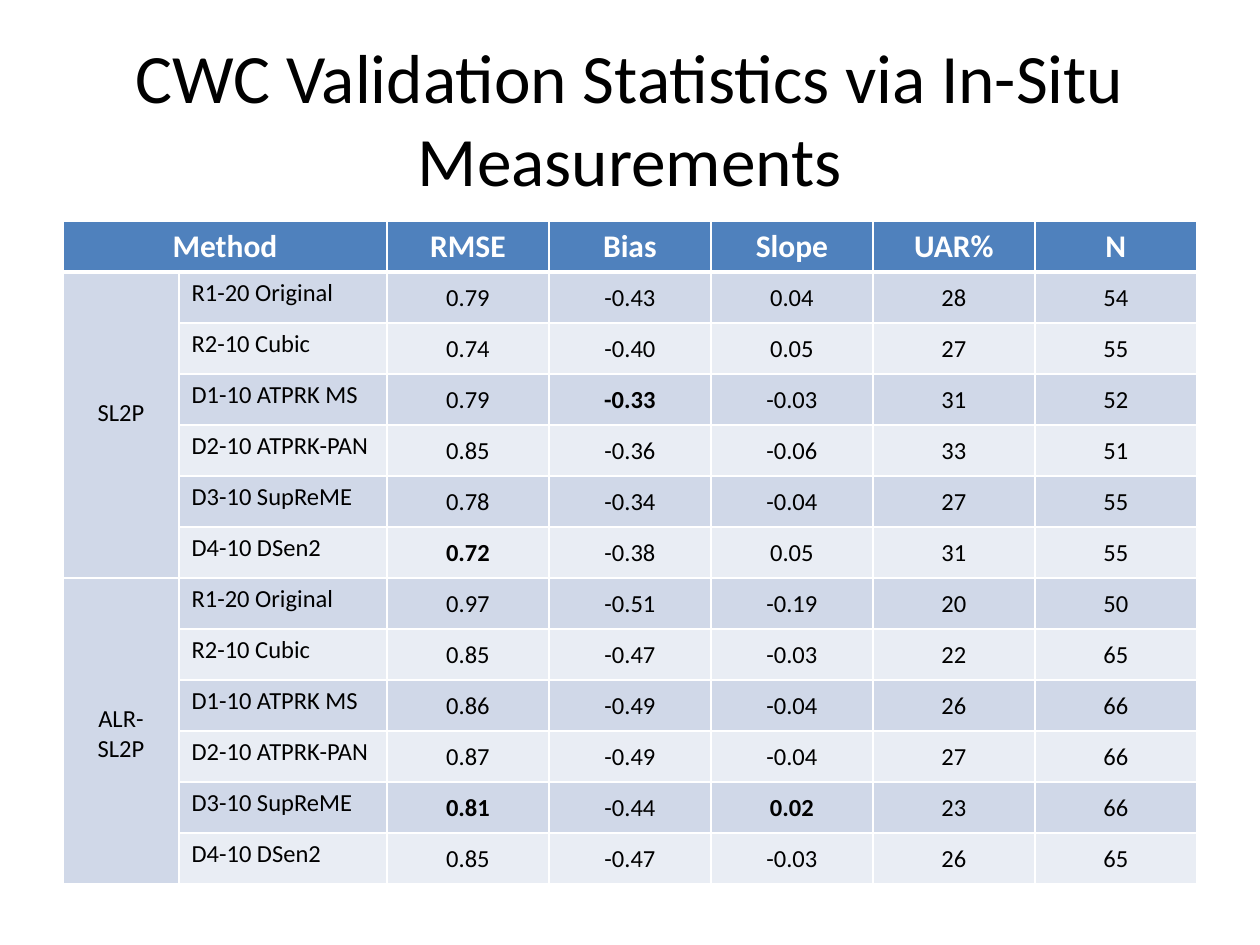
from dataclasses import dataclass

from lxml import etree
from pptx import Presentation
from pptx import util as u
from pptx.dml.color import RGBColor
from pptx.enum import text as t
from pptx.oxml.ns import qn

SCALE = 914400 / 126  # EMU in one px
FONT = "Calibri"
BLACK, WHITE, BLUE = "000000", "FFFFFF", "4F81BD"
BANDS = ("D0D8E8", "E9EDF4")

COLS = [116, 208] + [162] * 5
ROW = 51
HEADS = ["Method", "", "RMSE", "Bias", "Slope", "UAR%", "N"]
NAMES = ["R1-20 Original", "R2-10 Cubic", "D1-10 ATPRK MS",
         "D2-10 ATPRK-PAN", "D3-10 SupReME", "D4-10 DSen2"]


@dataclass
class Group:
    name: str
    rows: list[str]  # one line per method; * marks a best value


GROUPS = [
    Group("SL2P", [
        "0.79 -0.43 0.04 28 54",
        "0.74 -0.40 0.05 27 55",
        "0.79 *-0.33 -0.03 31 52",
        "0.85 -0.36 -0.06 33 51",
        "0.78 -0.34 -0.04 27 55",
        "*0.72 -0.38 0.05 31 55",
    ]),
    Group("ALR-SL2P", [
        "0.97 -0.51 -0.19 20 50",
        "0.85 -0.47 -0.03 22 65",
        "0.86 -0.49 -0.04 26 66",
        "0.87 -0.49 -0.04 27 66",
        "*0.81 -0.44 *0.02 23 66",
        "0.85 -0.47 -0.03 26 65",
    ]),
]


def px(n: int) -> int:
    return round(n * SCALE)


def color(code: str) -> RGBColor:
    return RGBColor.from_string(code)


def write(frame, words: str, size: float = 14, ink: str = BLACK,
          bold: bool = False, align=t.PP_ALIGN.CENTER) -> None:
    para = frame.paragraphs[0]
    para.alignment = align
    run = para.add_run()
    run.text = words
    font = run.font
    font.name, font.size, font.bold = FONT, u.Pt(size), bold
    font.color.rgb = color(ink)


def paint(cell, fill: str, top: int = 1, low: int = 1) -> None:
    """Fill a cell and give it white borders, widths in points."""
    cell.fill.solid()
    cell.fill.fore_color.rgb = color(fill)
    props = cell._tc.get_or_add_tcPr()
    sides = {"a:lnL": 1, "a:lnR": 1, "a:lnT": top, "a:lnB": low}
    for i, (tag, width) in enumerate(sides.items()):
        line = etree.Element(qn(tag), w=str(u.Pt(width)))
        solid = etree.SubElement(line, qn("a:solidFill"))
        etree.SubElement(solid, qn("a:srgbClr"), val=WHITE)
        props.insert(i, line)


def add_value(cell, mark: str) -> None:
    cell.vertical_anchor = t.MSO_ANCHOR.MIDDLE
    cell.margin_left = cell.margin_right = cell.margin_top = px(1)
    cell.margin_bottom = 0
    write(cell.text_frame, mark.lstrip("*"), bold=mark.startswith("*"))


def add_group(table, group: Group, first: int) -> None:
    for i, (name, line) in enumerate(zip(NAMES, group.rows)):
        row = first + i
        for col in range(len(COLS)):
            paint(table.cell(row, col), BANDS[i % 2], top=3 if row == 1 else 1)
        write(table.cell(row, 1).text_frame, name, align=t.PP_ALIGN.LEFT)
        for col, mark in enumerate(line.split(), 2):
            add_value(table.cell(row, col), mark)
    # Group label, set a little above the middle
    head = table.cell(first, 0)
    head.merge(table.cell(first + len(NAMES) - 1, 0))
    head.margin_top = px(126)
    write(head.text_frame, group.name)


def main() -> None:
    deck = Presentation()
    deck.slide_width, deck.slide_height = px(1260), px(945)
    slide = deck.slides.add_slide(deck.slide_layouts[5])

    # Title
    title = slide.shapes.title
    title.left, title.top, title.width, title.height = map(px, (63, 38, 1134, 158))
    title.text_frame.vertical_anchor = t.MSO_ANCHOR.MIDDLE
    title.text_frame.word_wrap = True
    write(title.text_frame, "CWC Validation Statistics via In-Situ Measurements",
          size=39.6)

    # Table grid
    count = 1 + len(GROUPS) * len(NAMES)
    table = slide.shapes.add_table(count, len(COLS), px(63), px(221),
                                   px(sum(COLS)), px(count * ROW)).table
    for col, width in zip(table.columns, COLS):
        col.width = px(width)
    for row in table.rows:
        row.height = px(ROW)

    # Header row
    for col, head in enumerate(HEADS):
        cell = table.cell(0, col)
        paint(cell, BLUE, low=3)
        if head:
            write(cell.text_frame, head, size=18, ink=WHITE, bold=True)
    table.cell(0, 0).merge(table.cell(0, 1))

    # Groups of methods
    for i, group in enumerate(GROUPS):
        add_group(table, group, 1 + i * len(NAMES))

    deck.save("out.pptx")


if __name__ == "__main__":
    main()
